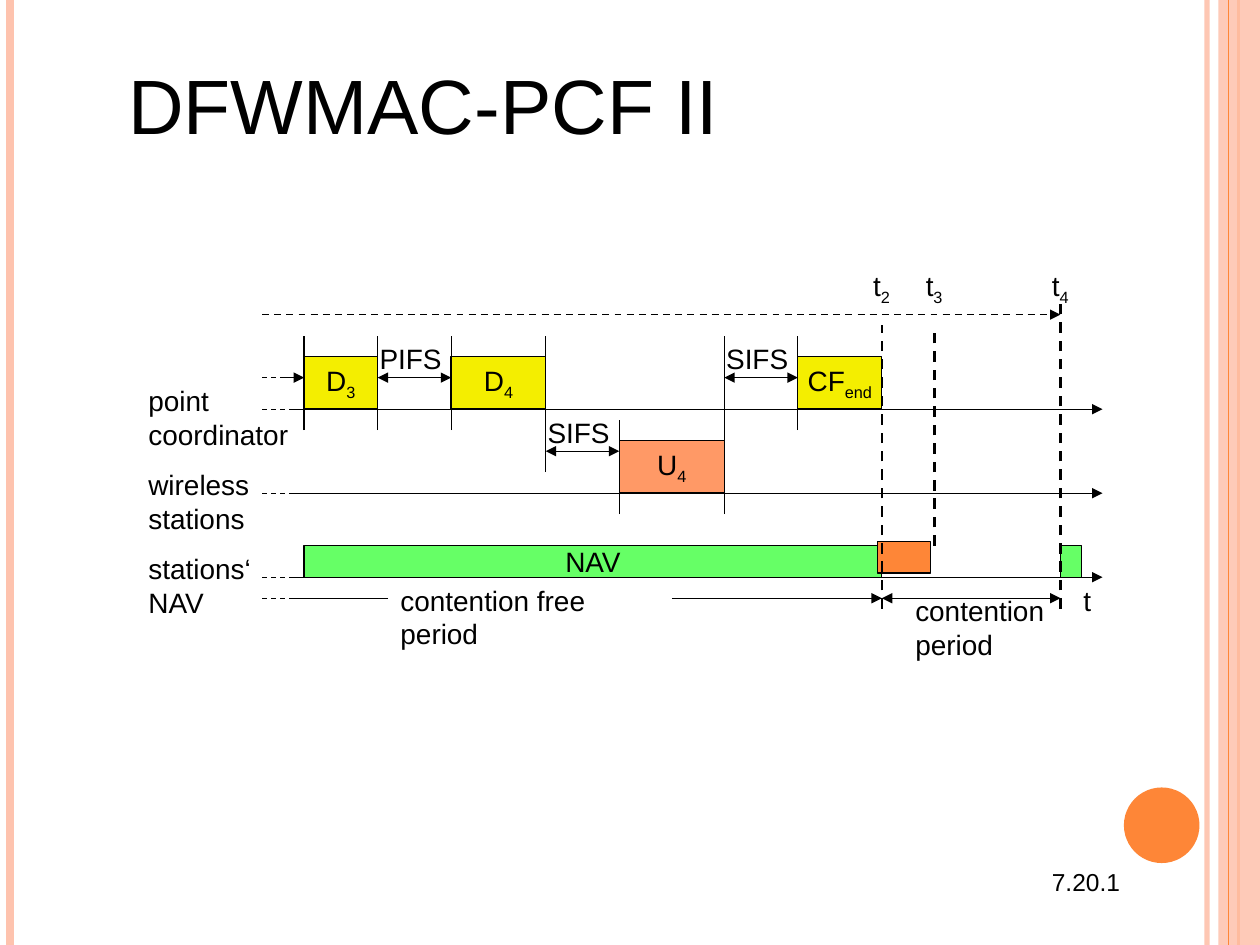
from lxml.etree import SubElement
from pptx import Presentation
from pptx.dml.color import RGBColor
from pptx.enum.dml import MSO_LINE
from pptx.enum.shapes import MSO_CONNECTOR, MSO_SHAPE
from pptx.enum.text import MSO_ANCHOR, PP_ALIGN
from pptx.oxml.ns import qn
from pptx.util import Inches, Pt

BLACK, PEACH, ORANGE = "000000", "FEC3AE", "FE8637"
YELLOW, GREEN, SALMON = "F4EE00", "66FF66", "FF9966"
FONT = {"name": "Arial", "size": Pt(16)}


def paint(target, color, opacity=100):
    target.solid()
    target.fore_color.rgb = RGBColor.from_string(color)
    if opacity < 100:
        solid = target._xPr.find(qn("a:solidFill"))
        SubElement(solid[0], qn("a:alpha")).set("val", str(opacity * 1000))


def add_line(slide, start, end, color=BLACK, weight=0.75, dashed=False,
             arrows="", opacity=100):
    points = [Inches(value) for value in (*start, *end)]
    line = slide.shapes.add_connector(MSO_CONNECTOR.STRAIGHT, *points)
    paint(line.line.fill, color, opacity)
    line.line.width = Pt(weight)
    if dashed:
        line.line.dash_style = MSO_LINE.DASH
    outline = line.line._get_or_add_ln()
    for side, tag in (("<", "a:headEnd"), (">", "a:tailEnd")):
        if side in arrows:
            SubElement(outline, qn(tag)).set("type", "triangle")
    SubElement(line._element.spPr, qn("a:effectLst"))
    return line


def add_shape(slide, kind, box, color, outlined=True, opacity=100):
    shape = slide.shapes.add_shape(kind, *[Inches(value) for value in box])
    shape.shadow.inherit = False
    paint(shape.fill, color, opacity)
    if outlined:
        paint(shape.line.fill, BLACK)
        shape.line.width = Pt(0.75)
    else:
        shape.line.fill.background()
    return shape


def write(frame, lines, subscript="", align=PP_ALIGN.LEFT,
          anchor=MSO_ANCHOR.TOP, wrap=False, **style):
    frame.word_wrap = wrap
    frame.vertical_anchor = anchor
    for index, words in enumerate(lines.split("\n")):
        paragraph = frame.add_paragraph() if index else frame.paragraphs[0]
        paragraph.alignment = align
        for part in filter(None, (words, subscript)):
            run = paragraph.add_run()
            run.text = part
            for key, value in {**FONT, **style}.items():
                setattr(run.font, key, value)
            run.font.color.rgb = RGBColor.from_string(BLACK)
    if subscript:
        run.font._element.set("baseline", "-25000")


def add_text(slide, box, lines, **options):
    label = slide.shapes.add_textbox(*[Inches(value) for value in box])
    write(label.text_frame, lines, **options)


def draw_backdrop(slide, width, height):
    def stripe(x, color, weight, opacity=100):
        add_line(slide, (x, 0), (x, height), color, weight, opacity=opacity)

    stripe(width - 0.42, PEACH, 3, 93)
    stripe(0.08, PEACH, 4.5)
    stripe(width - 0.17, ORANGE, 1.5)
    add_shape(slide, MSO_SHAPE.RECTANGLE, (width - 0.33, 0, 0.33, height),
              PEACH, outlined=False, opacity=87)
    stripe(width - 0.25, ORANGE, 0.75)
    add_shape(slide, MSO_SHAPE.OVAL, (width - 1.08, height - 1.25, 0.6, 0.6),
              ORANGE, outlined=False)


def draw_title(slide, box):
    add_text(slide, box, "DFWMAC-PCF II", size=Pt(44),
             anchor=MSO_ANCHOR.MIDDLE, wrap=True)


def draw_page_number(slide, box):
    add_text(slide, box, "7.20.1", size=Pt(14))


def draw_timing(slide, left, top, width):
    step = width / 80
    axes = {"point\ncoordinator": (14, 1.31), "wireless\nstations": (22, 1),
            "stations‘\nNAV": (30, 1.01)}
    guides = [(4, 7, 16), (11, 7, 16), (18, 7, 16), (27, 7, 20),
              (34, 15, 24), (44, 7, 24), (51, 7, 16)]
    bars = [(4, 9, 7, 5, YELLOW, "D", "3"), (18, 9, 9, 5, YELLOW, "D", "4"),
            (34, 17, 10, 5, SALMON, "U", "4"),
            (51, 9, 8, 5, YELLOW, "CF", "end"),
            (4, 27, 55, 3, GREEN, "NAV", ""),
            (58.6, 26.6, 5, 3, ORANGE, "", ""),
            (76, 27, 2, 3, GREEN, "", "")]
    instants = [(59, 6, 33, "2"), (64, 6, 27, "3"), (76, 4, 33, "4")]
    gaps = [(11, 18, 11, "PIFS"), (27, 34, 18, "SIFS"), (44, 51, 11, "SIFS")]

    def at(x, y):
        return left + x * step, top + y * step

    def line(x1, y1, x2, y2, **options):
        add_line(slide, at(x1, y1), at(x2, y2), **options)

    def label(x, y, size, words, **options):
        add_text(slide, (*at(x, y), *size), words, **options)

    for words, (y, label_width) in axes.items():
        line(3, y, 80, y, arrows=">")
        label(-12, y - 3, (label_width, 0.64), words)
    for y in (11, 14, 22, 30, 32):
        line(0, y, 3, y, dashed=True)
    for x, y1, y2 in guides:
        line(x, y2, x, y1)
    for x, y, across, down, color, words, subscript in bars:
        bar = add_shape(slide, MSO_SHAPE.RECTANGLE,
                        (*at(x, y), across * step, down * step), color)
        if words:
            write(bar.text_frame, words, subscript=subscript,
                  align=PP_ALIGN.CENTER, anchor=MSO_ANCHOR.MIDDLE)
    for x, y1, y2, subscript in instants:
        line(x, y2, x, y1, weight=1.5, dashed=True)
        label(x - 2, 0, (0.33, 0.41), "t", subscript=subscript)
    for x1, x2, y, words in gaps:
        line(x1, y, x2, y, arrows="<>")
        label(x1 - 1, y - 4, (0.69, 0.37), words)

    line(2, 11, 4, 11, arrows=">")
    line(0, 5, 76, 5, weight=1, dashed=True, arrows=">")
    line(12, 32, 3, 32)
    line(39, 32, 59, 32, arrows=">")
    line(59, 32, 76, 32, arrows="<>")
    label(12, 30, (2.34, 0.37), "contention free period")
    label(61, 31, (1.22, 0.64), "contention\nperiod")
    label(77, 30, (0.26, 0.37), "t")


def main():
    presentation = Presentation()
    presentation.slide_width = Inches(10)
    presentation.slide_height = Inches(7.5)
    slide = presentation.slides.add_slide(presentation.slide_layouts[6])
    draw_backdrop(slide, 10, 7.5)
    draw_title(slide, (0.92, 0.57, 8.5, 0.5))
    draw_timing(slide, 2.08, 2.08, 6.67)
    draw_page_number(slide, (8.25, 6.83, 0.74, 0.34))
    presentation.save("out.pptx")


if __name__ == "__main__":
    main()
